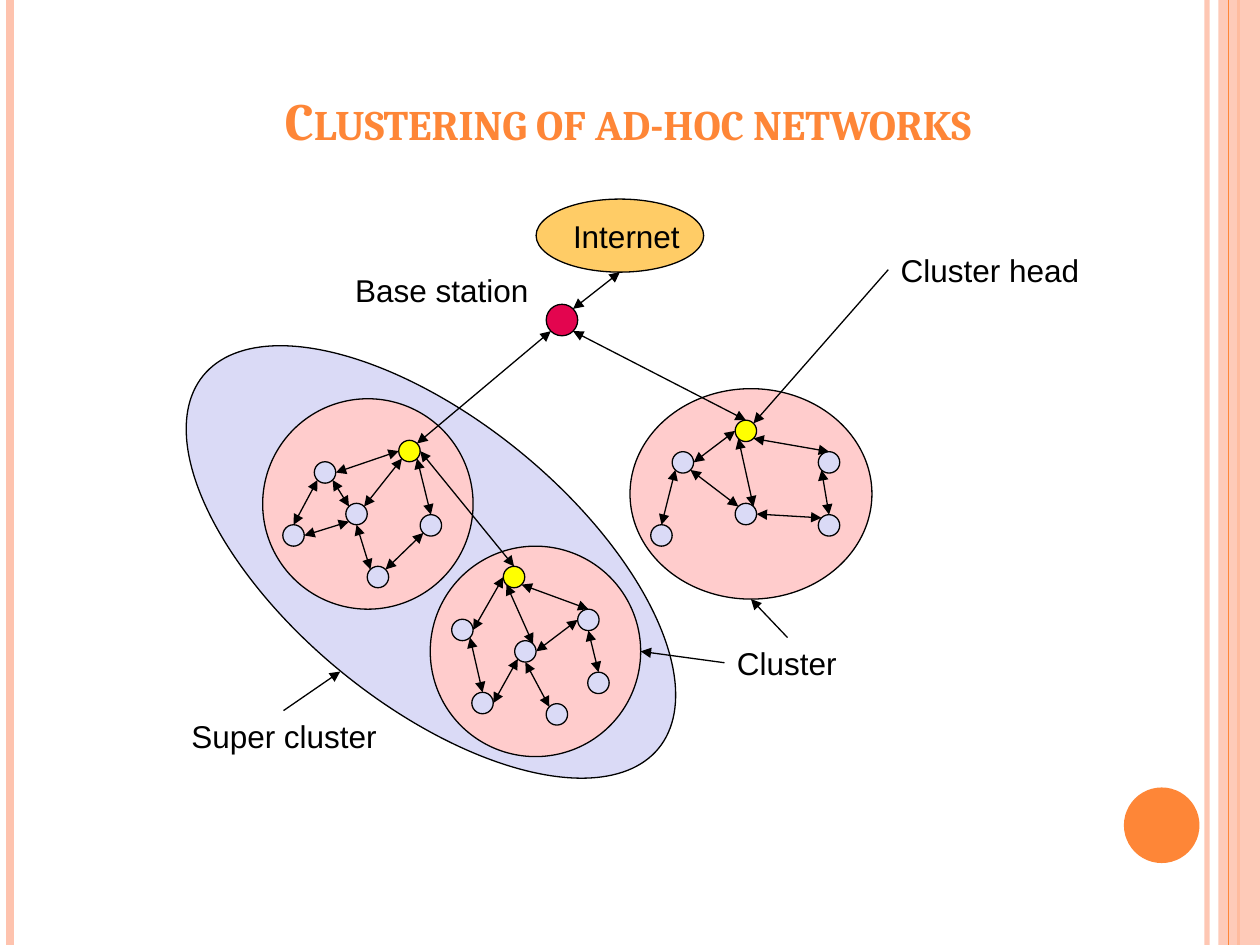
from dataclasses import dataclass
from math import sqrt

from lxml import etree
from pptx import Presentation
from pptx import util as u
from pptx.dml.color import RGBColor
from pptx.enum import shapes, text
from pptx.oxml.ns import qn

ORANGE = RGBColor(0xFE, 0x86, 0x37)
PEACH = RGBColor(0xFE, 0xC3, 0xAE)
LAVENDER = RGBColor(0xDA, 0xDA, 0xF6)
PINK = RGBColor(0xFF, 0xCC, 0xCC)
YELLOW = RGBColor(0xFF, 0xFF, 0x00)
CRIMSON = RGBColor(0xE3, 0x05, 0x4F)
GOLD = RGBColor(0xFF, 0xCC, 0x66)
BLACK = RGBColor(0, 0, 0)

Point = tuple[float, float]
D = 1 / sqrt(2)
SITES = {"N": (0, -1), "S": (0, 1), "W": (-1, 0), "E": (1, 0),
         "NW": (-D, -D), "NE": (D, -D), "SW": (-D, D), "SE": (D, D)}


@dataclass
class Oval:
    """An ellipse given by its centre and size."""
    x: float
    y: float
    w: float
    h: float
    color: RGBColor
    turn: float = 0

    def site(self, name: str) -> Point:
        dx, dy = SITES[name]
        return self.x + dx * self.w / 2, self.y + dy * self.h / 2


@dataclass
class Cluster:
    """Node centres by letter (d is the head) and links such as 'a.E b.SW'."""
    oval: Oval
    centres: dict[str, Point]
    links: list[str]

    def __post_init__(self) -> None:
        self.nodes = {k: Oval(x, y, 0.17, 0.17, YELLOW if k == "d" else LAVENDER)
                      for k, (x, y) in self.centres.items()}

    @property
    def head(self) -> Oval:
        return self.nodes["d"]

    def end(self, name: str) -> Point:
        node, site = name.split(".")
        return self.nodes[node].site(site)


def set_alpha(fill, percent: int) -> None:
    color = fill._xPr.find(qn("a:solidFill"))[0]
    etree.SubElement(color, qn("a:alpha"), val=str(percent * 1000))


def draw_oval(s, oval: Oval, outlined: bool = True):
    sp = s.shapes.add_shape(
        shapes.MSO_SHAPE.OVAL, u.Inches(oval.x - oval.w / 2), u.Inches(oval.y - oval.h / 2),
        u.Inches(oval.w), u.Inches(oval.h))
    sp.shadow.inherit = False
    sp.rotation = oval.turn
    sp.fill.solid()
    sp.fill.fore_color.rgb = oval.color
    if outlined:
        sp.line.color.rgb = BLACK
        sp.line.width = u.Pt(0.75)
    else:
        sp.line.fill.background()
    return sp


def draw_line(s, start: Point, end: Point, color: RGBColor = BLACK, width: float = 0.75,
              arrows: tuple[str, ...] = ()):
    c = s.shapes.add_connector(shapes.MSO_CONNECTOR.STRAIGHT,
                               *(u.Inches(v) for v in (*start, *end)))
    c.line.color.rgb = color
    c.line.width = u.Pt(width)
    for tag in arrows:
        etree.SubElement(c.line._get_or_add_ln(), qn(tag), type="triangle")
    etree.SubElement(c._element.spPr, qn("a:effectLst"))
    return c


def draw_link(s, start: Point, end: Point) -> None:
    draw_line(s, start, end, arrows=("a:headEnd", "a:tailEnd"))


def write(tf, words: str) -> None:
    tf.word_wrap = False
    p = tf.paragraphs[0]
    p.text = words
    p.alignment = text.PP_ALIGN.LEFT
    p.font.name = "Arial"
    p.font.size = u.Pt(18)
    p.font.color.rgb = BLACK


def draw_label(s, words: str, x: float, y: float, w: float) -> None:
    tb = s.shapes.add_textbox(u.Inches(x), u.Inches(y), u.Inches(w), u.Inches(0.4))
    write(tb.text_frame, words)


def draw_frame(s) -> None:
    def rule(x: float, color: RGBColor, width: float):
        return draw_line(s, (x, 0), (x, 7.5), color, width)

    set_alpha(rule(9.58, PEACH, 3).line.fill, 93)
    rule(0.08, PEACH, 4.5)
    rule(9.83, ORANGE, 1.5)
    band = s.shapes.add_shape(shapes.MSO_SHAPE.RECTANGLE, u.Inches(9.67), 0,
                              u.Inches(0.33), u.Inches(7.5))
    band.shadow.inherit = False
    band.fill.solid()
    band.fill.fore_color.rgb = PEACH
    set_alpha(band.fill, 87)
    band.line.fill.background()
    rule(9.75, ORANGE, 0.75)
    draw_oval(s, Oval(9.22, 6.55, 0.6, 0.6, ORANGE), outlined=False)


def draw_title(s) -> None:
    sp = s.shapes.title
    sp.left, sp.top, sp.width, sp.height = (u.Inches(v) for v in (0.27, 0.15, 9.43, 1.1))
    tf = sp.text_frame
    tf.vertical_anchor = text.MSO_ANCHOR.BOTTOM
    p = tf.paragraphs[0]
    p.alignment = text.PP_ALIGN.CENTER
    r = p.add_run()
    r.text = "Clustering of ad-hoc networks"
    r.font.name = "Cambria"
    r.font.size = u.Pt(30)
    r.font.bold = True
    r.font.color.rgb = ORANGE
    r.font._element.set("cap", "small")


SUPER = Oval(3.42, 4.46, 4.67, 2.25, LAVENDER, 39.3)
BASE = Oval(4.46, 2.54, 0.25, 0.25, CRIMSON)
INTERNET = Oval(4.92, 1.87, 1.33, 0.58, GOLD)
LEFT = Cluster(
    Oval(2.92, 4, 1.67, 1.67, PINK),
    {"a": (2.33, 4.25), "b": (2.83, 4.08), "c": (2.58, 3.75),
     "d": (3.25, 3.58), "e": (3.42, 4.17), "f": (3, 4.58)},
    ["a.E b.SW", "a.N c.SW", "b.NE d.SW", "c.SE b.NW",
     "c.E d.W", "f.NW b.S", "e.N d.SE", "e.SW f.NE"])
RIGHT = Cluster(
    Oval(5.96, 3.92, 1.92, 1.67, PINK),
    {"a": (5.25, 4.25), "b": (5.92, 4.08), "c": (5.42, 3.67),
     "d": (5.92, 3.42), "e": (6.58, 3.67), "f": (6.58, 4.17)},
    ["a.N c.SW", "b.NE d.SW", "c.SE b.NW", "c.E d.W",
     "f.NW b.E", "e.N d.SE", "e.SW f.N"])
LOWER = Cluster(
    Oval(4.25, 5.17, 1.67, 1.67, PINK),
    {"a": (3.83, 5.58), "b": (4.17, 5.17), "c": (3.67, 5), "d": (4.08, 4.58),
     "e": (4.67, 4.92), "f": (4.75, 5.42), "g": (4.42, 5.67)},
    ["a.E b.SW", "a.N c.SE", "b.NE d.SW", "e.W b.E",
     "c.E d.W", "e.N d.SE", "e.S f.N", "g.NW b.S"])


def main() -> None:
    prs = Presentation()
    prs.slide_width, prs.slide_height = u.Inches(10), u.Inches(7.5)
    s = prs.slides.add_slide(prs.slide_layouts[5])
    draw_frame(s)
    draw_title(s)

    # Super cluster, clusters and their nodes
    clusters = (RIGHT, LEFT, LOWER)
    for oval in (SUPER, *(c.oval for c in clusters)):
        draw_oval(s, oval)
    for c in clusters:
        for node in c.nodes.values():
            draw_oval(s, node)
        for link in c.links:
            draw_link(s, *map(c.end, link.split()))

    # Base station, internet and the links between heads
    draw_oval(s, BASE)
    sp = draw_oval(s, INTERNET)
    sp.text_frame.vertical_anchor = text.MSO_ANCHOR.MIDDLE
    write(sp.text_frame, "Internet")
    draw_link(s, LEFT.head.site("E"), LOWER.head.site("N"))
    draw_link(s, BASE.site("NE"), INTERNET.site("S"))
    draw_link(s, LEFT.head.site("NE"), BASE.site("SW"))
    draw_link(s, BASE.site("SE"), RIGHT.head.site("N"))

    # Labels and their pointers
    for label in (("Super cluster", 1.42, 5.64, 1.67), ("Cluster", 5.75, 5.06, 0.99),
                  ("Base station", 2.72, 2.1, 1.58), ("Cluster head", 7.05, 1.94, 1.62)):
        draw_label(s, *label)
    for start, end in (((6.25, 5.06), RIGHT.oval.site("S")), ((5.75, 5.26), LOWER.oval.site("E")),
                       ((2.25, 5.64), (2.7, 5.33)), ((7.05, 2.14), RIGHT.head.site("NE"))):
        draw_line(s, start, end, arrows=("a:tailEnd",))

    prs.save("out.pptx")


if __name__ == "__main__":
    main()
